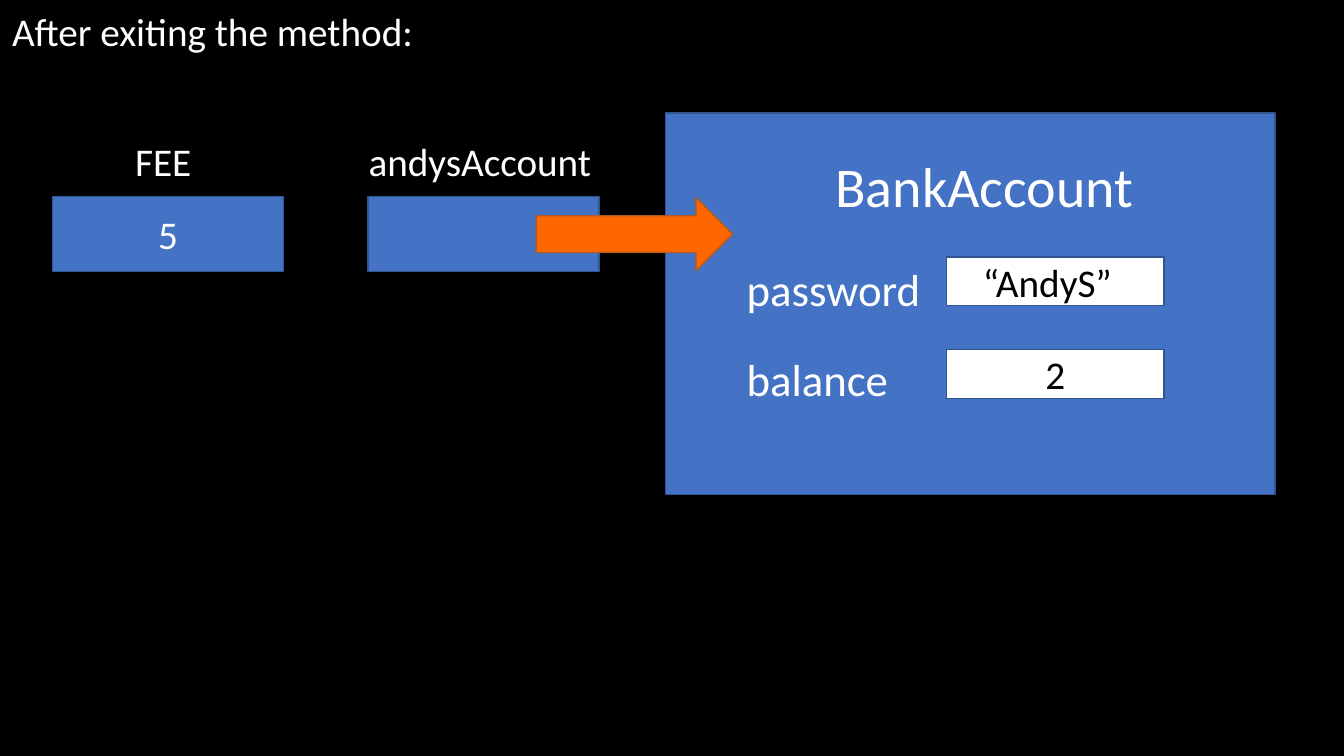
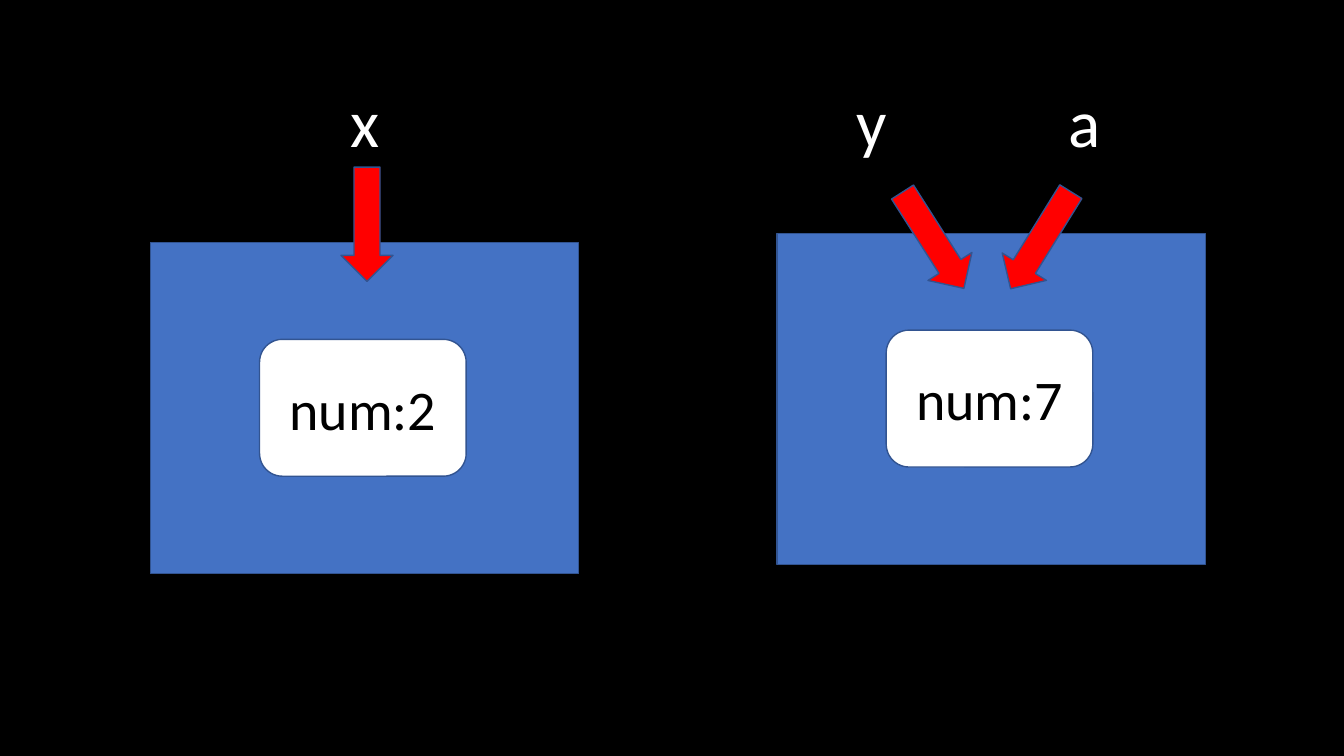
from pptx import Presentation
from pptx.dml.color import RGBColor
from pptx.enum.shapes import MSO_SHAPE as SHAPE
from pptx.enum.text import MSO_ANCHOR as ANCHOR, MSO_AUTO_SIZE as AUTO, PP_ALIGN as ALIGN
from pptx.util import Inches, Pt

BLACK, WHITE, BLUE, EDGE = "000000", "FFFFFF", "4472C4", "325491"
ORANGE, RUST, RED = "FF6600", "AF5C24", "FF0000"

prs = Presentation()
prs.slide_width, prs.slide_height = Inches(13.333), Inches(7.5)
COL, ROW = prs.slide_width / 160, prs.slide_height / 90  # grid of 160 x 90 cells


def write(sp, text, size, color, align=ALIGN.LEFT, anchor=ANCHOR.TOP):
    tf = sp.text_frame
    tf.word_wrap, tf.auto_size, tf.vertical_anchor = True, AUTO.NONE, anchor
    p = tf.paragraphs[0]
    p.text, p.alignment = text, align
    p.font.size, p.font.name = Pt(size), "Calibri"
    p.font.color.rgb = RGBColor.from_string(color)


def add(shapes, box, kind=None, fill=BLUE, line=EDGE, text="", size=28, color=WHITE):
    """Add a filled shape, or a plain label if no kind is given; box is in grid cells."""
    x, y, w, h = box
    frame = [int(v) for v in (x * COL, y * ROW, w * COL, h * ROW)]
    if kind is None:
        sp = shapes.add_textbox(*frame)
        write(sp, text, size, color)
        return sp
    sp = shapes.add_shape(kind, *frame)
    sp.shadow.inherit = False
    sp.fill.solid()
    sp.fill.fore_color.rgb = RGBColor.from_string(fill)
    sp.line.color.rgb = RGBColor.from_string(line)
    sp.line.width = Pt(1)
    if text:
        write(sp, text, size, color, ALIGN.CENTER, ANCHOR.MIDDLE)
    return sp


# Shared black background
bg = prs.slide_master.background.fill
bg.solid()
bg.fore_color.rgb = RGBColor.from_string(BLACK)

# Slide 1: variables and the object one of them refers to
s = prs.slides.add_slide(prs.slide_layouts[5])
title = s.shapes.title
title.left, title.top = int(0.24 * COL), int(0.24 * ROW)
title.width, title.height = int(91.2 * COL), int(6.84 * ROW)
write(title, "After exiting the method:", 28, WHITE)

# Object panel with its fields
panel = s.shapes.add_group_shape().shapes
add(panel, (79.2, 13.44, 72.6, 45.4), SHAPE.RECTANGLE)
add(panel, (98.3, 17.4, 42.5, 9.24), text="BankAccount", size=40)
for i, (name, value) in enumerate([("password", "“AndyS”"), ("balance", "2")]):
    add(panel, (87.7, 30.6 + 10.7 * i, 42.5, 7.7), text=name, size=32)
    field = add(panel, (112.7, 30.6 + 11.04 * i, 25.9, 5.8), SHAPE.RECTANGLE,
                fill=WHITE, text=value, color=BLACK)
    if name == "password":
        field.text_frame.margin_right = Inches(0.26)

# Variables
for name, name_x, value, x in [("FEE", 14.9, "5", 6.24), ("andysAccount", 42.7, "", 43.8)]:
    add(s.shapes, (name_x, 15.7, 32, 6.84), text=name)
    add(s.shapes, (x, 23.4, 27.5, 8.9), SHAPE.RECTANGLE, text=value)
add(s.shapes, (63.84, 23.5, 23.4, 8.76), SHAPE.RIGHT_ARROW, fill=ORANGE, line=RUST)

# Slide 2: three references to two objects
s = prs.slides.add_slide(prs.slide_layouts[6])
for x, y, text in [(17.9, 28.9, "num:2"), (92.5, 27.8, "num:7")]:
    obj = s.shapes.add_group_shape().shapes
    add(obj, (x, y, 51, 39.4), SHAPE.RECTANGLE)
    add(obj, (x + 13, y + 11.5, 24.6, 16.3), SHAPE.ROUNDED_RECTANGLE,
        fill=WHITE, text=text, size=40, color=BLACK)

# Reference names and arrows
for name, name_x, x, y, angle in [("x", 40.6, 40.6, 19.9, 0),
                                  ("y", 100.8, 108, 21.8, 327.5),
                                  ("a", 126, 120.8, 21.8, 31.8)]:
    add(s.shapes, (name_x, 9, 10, 10.9), text=name, size=48)
    arrow = add(s.shapes, (x, y, 6.2, 13.6), SHAPE.DOWN_ARROW, fill=RED)
    arrow.rotation = angle

prs.save("out.pptx")
